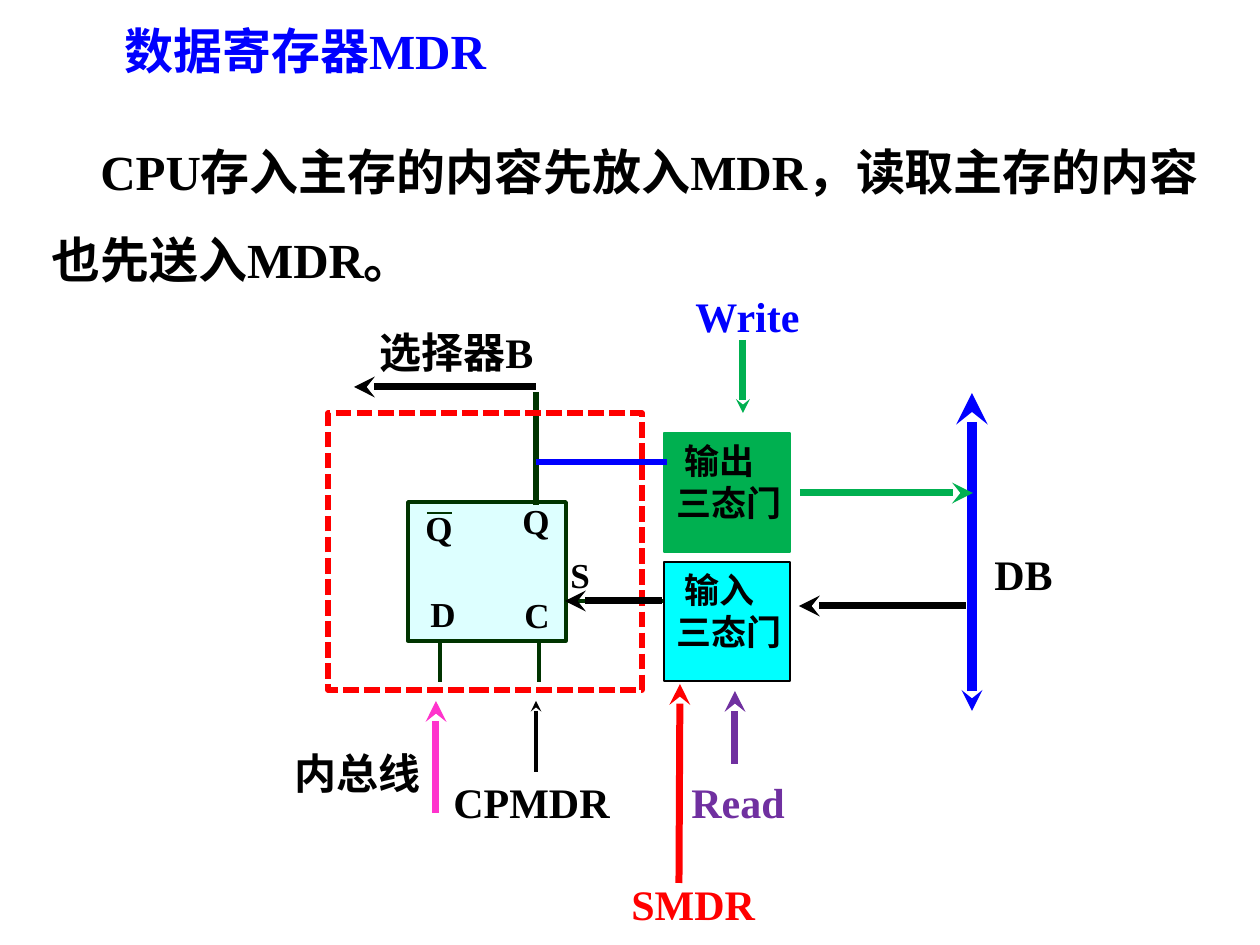
from typing import NamedTuple

from lxml.etree import SubElement
from pptx import Presentation
from pptx.dml.color import RGBColor
from pptx.enum.dml import MSO_LINE
from pptx.enum.shapes import MSO_CONNECTOR, MSO_SHAPE
from pptx.enum.text import MSO_ANCHOR, PP_ALIGN
from pptx.oxml.ns import qn
from pptx.util import Emu, Pt

PX_PER_INCH = 126
LATIN, CJK = "Times New Roman", "Noto Sans CJK SC"
BLACK, BLUE, GREEN, RED = "000000", "0000FF", "00B050", "FF0000"
PURPLE, PINK, DARK_GREEN = "7030A0", "FF33CC", "003400"


class Line(NamedTuple):
    x1: int
    y1: int
    x2: int
    y2: int
    color: str
    weight: float
    tail: str = ""  # arrowhead size at the end point
    head: str = ""  # arrowhead size at the start point


class Box(NamedTuple):
    x: int
    y: int
    width: int
    height: int
    fill: str
    outline: str
    weight: float
    lines: tuple[str, ...] = ()
    dashed: bool = False


class Label(NamedTuple):
    text: str
    x: int
    y: int
    width: int
    height: int
    size: int = 24
    color: str = BLACK
    wrap: bool = True


def px(length: int) -> Emu:
    return Emu(round(length * 914400 / PX_PER_INCH))


def rgb(value: str) -> RGBColor:
    return RGBColor.from_string(value)


def set_font(paragraph, name: str, size: int, color: str) -> None:
    font = paragraph.font
    font.name, font.size, font.bold = name, Pt(size), True
    font.color.rgb = rgb(color)


def draw_line(shapes, line: Line) -> None:
    connector = shapes.add_connector(
        MSO_CONNECTOR.STRAIGHT, px(line.x1), px(line.y1), px(line.x2), px(line.y2))
    connector.line.color.rgb = rgb(line.color)
    connector.line.width = Pt(line.weight)
    outline = connector.line._get_or_add_ln()
    for tag, size in (("a:headEnd", line.head), ("a:tailEnd", line.tail)):
        if size:
            SubElement(outline, qn(tag), type="stealth", w=size, len=size)
    SubElement(connector._element.spPr, qn("a:effectLst"))


def draw_box(shapes, box: Box) -> None:
    shape = shapes.add_shape(
        MSO_SHAPE.RECTANGLE, px(box.x), px(box.y), px(box.width), px(box.height))
    shape.shadow.inherit = False
    if box.fill:
        shape.fill.solid()
        shape.fill.fore_color.rgb = rgb(box.fill)
    else:
        shape.fill.background()
    shape.line.color.rgb = rgb(box.outline)
    shape.line.width = Pt(box.weight)
    if box.dashed:
        shape.line.dash_style = MSO_LINE.SQUARE_DOT
    if box.lines:
        frame = shape.text_frame
        frame.word_wrap = False
        frame.vertical_anchor = MSO_ANCHOR.TOP
        frame.text = "\n".join(box.lines)
        for paragraph in frame.paragraphs:
            paragraph.alignment = PP_ALIGN.JUSTIFY
            set_font(paragraph, CJK, 20, BLACK)


def draw_label(shapes, label: Label):
    frame = shapes.add_textbox(
        px(label.x), px(label.y), px(label.width), px(label.height)).text_frame
    frame.word_wrap = label.wrap
    paragraph = frame.paragraphs[0]
    paragraph.text = label.text
    set_font(paragraph, LATIN, label.size, label.color)
    return paragraph


FLIP_FLOP = Box(408, 502, 158, 139, "DDFFFF", DARK_GREEN, 2)

# Q-bar overline, Q output, D and C inputs, S input
WIRES = [
    Line(427, 513, 452, 513, DARK_GREEN, 1.5),
    Line(536, 392, 536, 505, DARK_GREEN, 3),
    *(Line(x, 642, x, 682, DARK_GREEN, 2) for x in (440, 539)),
    Line(565, 601, 664, 601, DARK_GREEN, 2),
]

REGISTER_AND_GATES = [
    Box(664, 562, 126, 119, "00FFFF", BLACK, 1, (" 输入", "三态门")),
    Box(328, 413, 314, 277, "", RED, 3, dashed=True),
    Box(664, 433, 126, 119, GREEN, GREEN, 1, (" 输出", "三态门")),
]

SIGNALS = [
    Line(972, 711, 972, 393, BLUE, 6, tail="med", head="sm"),  # DB
    Line(735, 764, 735, 691, PURPLE, 4, "med"),  # Read
    Line(966, 606, 799, 606, BLACK, 4, "med"),  # DB to input gate
    Line(800, 493, 973, 493, GREEN, 4, "med"),  # output gate to DB
    Line(536, 462, 667, 462, BLUE, 3),  # Q to output gate
    Line(536, 772, 536, 701, BLACK, 2, "med"),  # CPMDR
    Line(743, 340, 743, 413, GREEN, 4, "sm"),  # Write
    Line(536, 387, 354, 387, BLACK, 4, "med"),  # selector B
    Line(436, 813, 436, 701, PINK, 4, "med"),  # internal bus
    Line(679, 883, 680, 684, RED, 4, "med"),  # SMDR
    Line(662, 601, 565, 601, BLACK, 4, "med"),  # input gate to S
]

LABELS = [
    Label("S", 558, 547, 52, 55, 20),
    Label("D", 418, 586, 69, 48, 20),
    Label("C", 512, 587, 68, 48, 20),
    Label("Q", 510, 493, 69, 48, 20),
    Label("Q", 413, 500, 64, 48, 20),
    Label("DB", 982, 542, 84, 63, wrap=False),
    Label("Read", 679, 770, 120, 63, color=PURPLE, wrap=False),
    Label("CPMDR", 441, 770, 184, 63),
    Label("Write", 683, 284, 131, 63, color=BLUE, wrap=False),
    Label("选择器B", 367, 320, 184, 63),
    Label("内总线", 282, 741, 184, 63),
    Label("SMDR", 619, 872, 150, 63, color=RED, wrap=False),
    Label("数据寄存器MDR", 112, 14, 426, 72, 28, BLUE),
]

DESCRIPTION = Label("CPU存入主存的内容先放入MDR，读取主存的内容也先送入MDR。",
                    39, 106, 1206, 180, 28)


def main() -> None:
    presentation = Presentation()
    presentation.slide_width, presentation.slide_height = px(1260), px(945)
    shapes = presentation.slides.add_slide(presentation.slide_layouts[6]).shapes

    # Register circuit, back to front
    draw_box(shapes, FLIP_FLOP)
    for wire in WIRES:
        draw_line(shapes, wire)
    for box in REGISTER_AND_GATES:
        draw_box(shapes, box)
    for signal in SIGNALS:
        draw_line(shapes, signal)

    # Title and signal names
    for label in LABELS:
        draw_label(shapes, label)

    # Description with an indented first line
    description = draw_label(shapes, DESCRIPTION)
    description.line_spacing = 1.5
    description._p.get_or_add_pPr().set("indent", str(px(49)))

    presentation.save("out.pptx")


if __name__ == "__main__":
    main()
